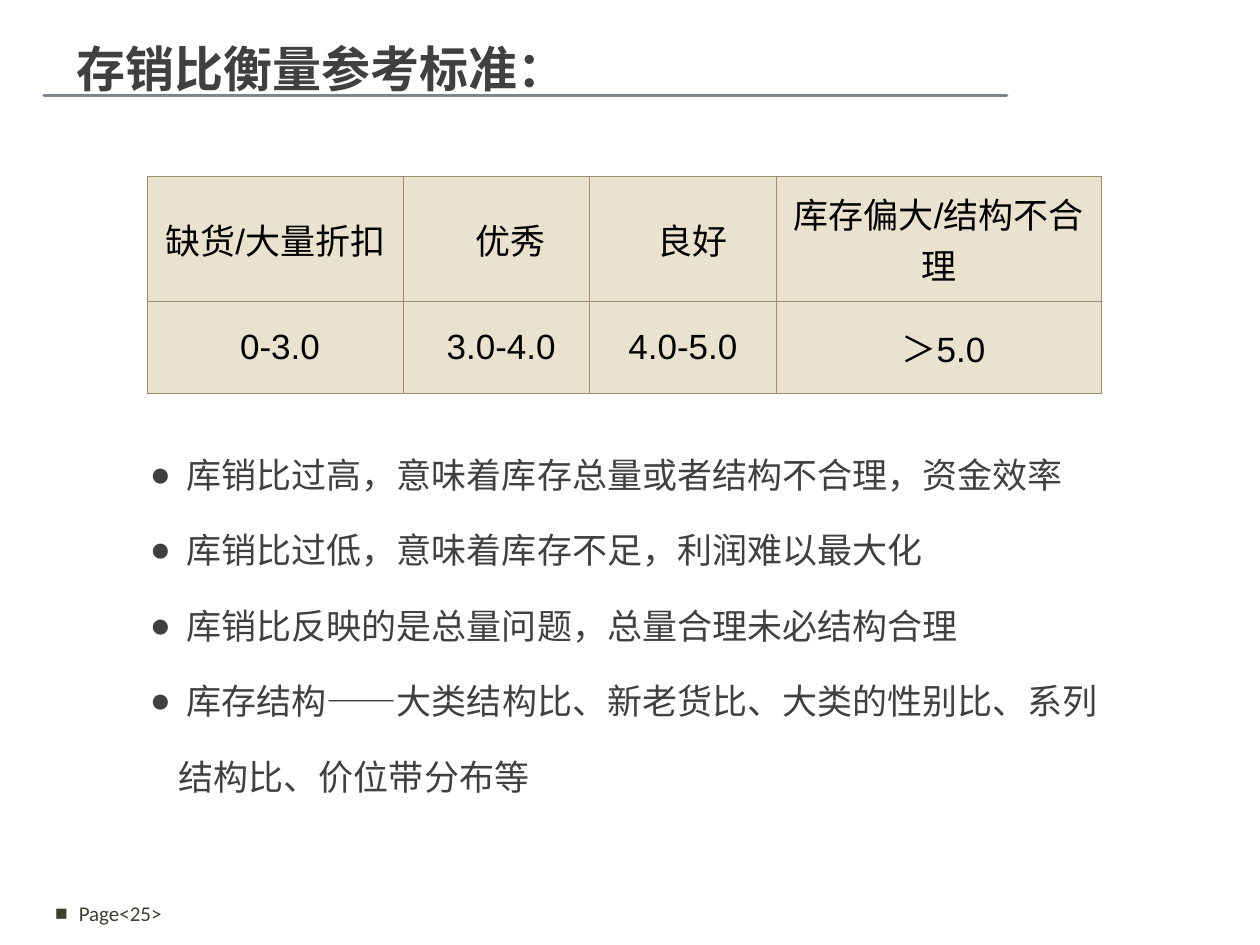
from lxml.etree import SubElement
from pptx import Presentation
from pptx.dml.color import RGBColor
from pptx.enum.shapes import MSO_CONNECTOR
from pptx.enum.text import MSO_ANCHOR, MSO_AUTO_SIZE, PP_ALIGN
from pptx.oxml.ns import qn
from pptx.util import Pt

RULE_GRAY = RGBColor(0x7E, 0x84, 0x8D)
FOOTER_GREEN = RGBColor(0x3A, 0x42, 0x30)
CELL_SAND = RGBColor(0xEA, 0xE1, 0xCF)
BORDER_BROWN = RGBColor(0x9C, 0x8F, 0x6F)
TEXT_GRAY = RGBColor(0x40, 0x40, 0x40)
BLACK = RGBColor(0, 0, 0)
CJK_FONT = "Noto Sans CJK SC"

TITLE = "存销比衡量参考标准："
COLUMN_WIDTHS = [146.2, 106.6, 106.6, 185.8]
ROW_HEIGHTS = [71.4, 52.6]
# Each cell: wording and the extra left margin that nudges it off centre
RATIO_ROWS = [
    [("缺货/大量折扣", 0), ("优秀", 16.5), ("良好", 11), ("库存偏大/结构不合理", 0)],
    [("0-3.0", 5.5), ("3.0-4.0", 5.5), ("4.0-5.0", 0), ("＞5.0", 5.5)],
]
NOTES = [
    "库销比过高，意味着库存总量或者结构不合理，资金效率",
    "库销比过低，意味着库存不足，利润难以最大化",
    "库销比反映的是总量问题，总量合理未必结构合理",
    "库存结构——大类结构比、新老货比、大类的性别比、系列结构比、价位带分布等",
]


def add_run(paragraph, wording, size, color, font=CJK_FONT, bold=False):
    run = paragraph.add_run()
    run.text = wording
    run.font.size = Pt(size)
    run.font.name = font
    run.font.bold = bold
    run.font.color.rgb = color
    SubElement(run.font._element, qn("a:ea"), typeface=CJK_FONT)


def add_bullet(paragraph, symbol, indent):
    """Give the paragraph a hanging bullet in Arial."""
    properties = paragraph._p.get_or_add_pPr()
    properties.set("marL", str(Pt(indent)))
    properties.set("indent", str(-Pt(indent)))
    SubElement(properties, qn("a:buFont"), typeface="Arial")
    SubElement(properties, qn("a:buChar"), char=symbol)


def add_frame(slide, left, top, width, height):
    frame = slide.shapes.add_textbox(Pt(left), Pt(top), Pt(width), Pt(height)).text_frame
    frame.word_wrap = True
    return frame


def add_title(slide, left, top, width, height):
    rule_y = top + 36
    rule = slide.shapes.add_connector(
        MSO_CONNECTOR.STRAIGHT, Pt(left - 11.5), Pt(rule_y), Pt(left + 538.5), Pt(rule_y))
    rule.line.color.rgb = RULE_GRAY
    rule.line.width = Pt(2)
    rule.line._get_or_add_ln().set("cap", "rnd")
    SubElement(rule._element.spPr, qn("a:effectLst"))

    frame = add_frame(slide, left, top, width, height)
    frame.word_wrap = False
    frame.auto_size = MSO_AUTO_SIZE.SHAPE_TO_FIT_TEXT
    add_run(frame.paragraphs[0], TITLE, 28, TEXT_GRAY, bold=True)


def add_borders(cell):
    """Draw the four cell edges; they must precede the fill in the XML."""
    properties = cell._tc.get_or_add_tcPr()
    for edge in ("a:lnL", "a:lnR", "a:lnT", "a:lnB"):
        line = SubElement(properties, qn(edge), w=str(Pt(0.5)))
        solid = SubElement(line, qn("a:solidFill"))
        SubElement(solid, qn("a:srgbClr"), val=str(BORDER_BROWN))


def add_ratio_table(slide, left, top):
    table = slide.shapes.add_table(
        len(ROW_HEIGHTS), len(COLUMN_WIDTHS), Pt(left), Pt(top),
        Pt(sum(COLUMN_WIDTHS)), Pt(sum(ROW_HEIGHTS))).table
    table.first_row = table.horz_banding = False
    for column, width in zip(table.columns, COLUMN_WIDTHS):
        column.width = Pt(width)
    for row, height, entries in zip(table.rows, ROW_HEIGHTS, RATIO_ROWS):
        row.height = Pt(height)
        for cell, (wording, nudge) in zip(row.cells, entries):
            add_borders(cell)
            cell.fill.solid()
            cell.fill.fore_color.rgb = CELL_SAND
            cell.vertical_anchor = MSO_ANCHOR.MIDDLE
            cell.margin_left = Pt(7.2 + nudge)
            paragraph = cell.text_frame.paragraphs[0]
            paragraph.alignment = PP_ALIGN.CENTER
            add_run(paragraph, wording, 20, BLACK, font="Arial")


def add_notes_list(slide, left, top, width, height):
    frame = add_frame(slide, left, top, width, height)
    frame.auto_size = MSO_AUTO_SIZE.SHAPE_TO_FIT_TEXT
    for index, note in enumerate(NOTES):
        paragraph = frame.add_paragraph() if index else frame.paragraphs[0]
        add_bullet(paragraph, "●", 16.5)
        paragraph.line_spacing = 1.8
        add_run(paragraph, " " + note, 20, TEXT_GRAY)


def add_page_number(slide, left, top, width, height):
    frame = add_frame(slide, left, top, width, height)
    frame.vertical_anchor = MSO_ANCHOR.MIDDLE
    paragraph = frame.paragraphs[0]
    paragraph.alignment = PP_ALIGN.RIGHT
    add_bullet(paragraph, "■", 13.5)
    add_run(paragraph, "Page<25>", 12, FOOTER_GREEN, font="Calibri")


def main():
    deck = Presentation()
    deck.slide_width, deck.slide_height = Pt(720), Pt(540)
    slide = deck.slides.add_slide(deck.slide_layouts[6])
    add_title(slide, 36.7, 18.7, 312, 41)
    add_ratio_table(slide, 84.2, 100.8)
    add_notes_list(slide, 78.5, 236.2, 562.3, 225.4)
    add_page_number(slide, 14.4, 507.6, 85, 28.8)
    deck.save("out.pptx")


if __name__ == "__main__":
    main()
